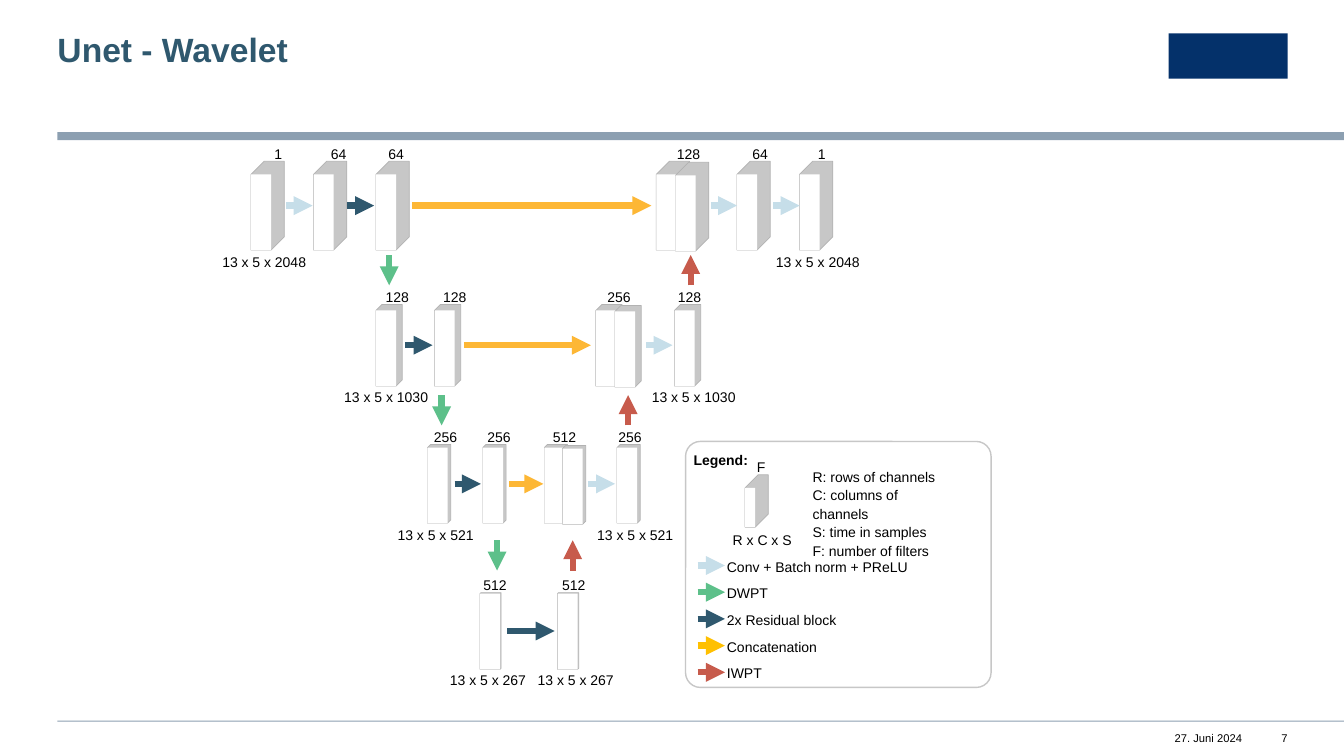
from lxml.etree import SubElement
from pptx import Presentation
from pptx.dml.color import RGBColor
from pptx.enum.shapes import MSO_CONNECTOR, MSO_SHAPE
from pptx.enum.text import MSO_ANCHOR, PP_ALIGN
from pptx.oxml.ns import qn
from pptx.util import Inches, Pt

NAVY = RGBColor(0x04, 0x31, 0x6A)
STEEL = RGBColor(0x8C, 0x9F, 0xB1)
PETROL = RGBColor(0x2F, 0x58, 0x6E)
ICE = RGBColor(0xC6, 0xDE, 0xE9)
GREEN = RGBColor(0x5D, 0xC0, 0x8A)
RED = RGBColor(0xC7, 0x5B, 0x4C)
ORANGE = RGBColor(0xFD, 0xB7, 0x35)
AMBER = RGBColor(0xFF, 0xC0, 0x00)
GREY = RGBColor(0xC7, 0xC7, 0xC7)
EDGE = RGBColor(0xB2, 0xB2, 0xB2)
WHITE = RGBColor(0xFF, 0xFF, 0xFF)
BLACK = RGBColor(0, 0, 0)

# Content: one entry per U-Net level, lengths in inches
# blocks: left edge, drop; filters and sizes: centre, text; steps: from, to, colour
LEVELS = [
    dict(top=1.73, depth=0.13, filter_top=1.43, size_top=2.5,
         blocks=[(2.49, 0), (3.11, 0), (3.73, 0), (6.51, 0), (6.7, 0.01), (7.31, 0), (7.93, 0)],
         filters=[(2.76, "1"), (3.36, "64"), (3.93, "64"), (6.83, "128"), (7.54, "64"), (8.15, "1")],
         sizes=[(2.62, "13 x 5 x 2048"), (8.11, "13 x 5 x 2048")],
         steps=[(2.84, 3.1, ICE), (3.44, 3.71, PETROL), (4.09, 6.46, ORANGE),
                (7.05, 7.31, ICE), (7.67, 7.93, ICE)]),
    dict(top=3.08, depth=0.06, filter_top=2.85, size_top=3.84,
         blocks=[(3.73, 0), (4.31, 0), (5.91, 0), (6.1, 0.01), (6.69, 0)],
         filters=[(3.94, "128"), (4.51, "128"), (6.14, "256"), (6.84, "128")],
         sizes=[(3.83, "13 x 5 x 1030"), (6.88, "13 x 5 x 1030")],
         steps=[(4.02, 4.29, PETROL), (4.6, 5.86, ORANGE), (6.41, 6.67, ICE)]),
    dict(top=4.44, depth=0.03, filter_top=4.23, size_top=5.21,
         blocks=[(4.24, 0), (4.79, 0), (5.4, 0), (5.58, 0.01), (6.12, 0)],
         filters=[(4.42, "256"), (4.95, "256"), (5.6, "512"), (6.25, "256")],
         sizes=[(4.32, "13 x 5 x 521"), (6.3, "13 x 5 x 521")],
         steps=[(4.51, 4.77, PETROL), (5.05, 5.39, ORANGE), (5.83, 6.1, ICE)]),
    dict(top=5.89, depth=0.01, filter_top=5.7, size_top=6.65,
         blocks=[(4.76, 0), (5.53, 0)],
         filters=[(4.91, "512"), (5.69, "512")],
         sizes=[(4.84, "13 x 5 x 267"), (5.71, "13 x 5 x 267")],
         steps=[(5.03, 5.5, PETROL)]),
]
# Between levels: upper end, x of the way down, x of the way up
TRANSITIONS = [(2.53, 3.86, 6.85), (3.92, 4.38, 6.23), (5.36, 4.93, 5.68)]
LEGEND = [("Conv + Batch norm + PReLU", ICE), ("DWPT", GREEN), ("2x Residual block", PETROL),
          ("Concatenation", AMBER), ("IWPT", RED)]
SYMBOLS = ["R: rows of channels", "C: columns of channels",
           "S: time in samples", "F: number of filters"]
BLOCK_W, BLOCK_H, TRANSITION_H = 0.2, 0.75, 0.3
MARGIN, WIDTH = 0.57, 13.33

deck = Presentation()
deck.slide_width, deck.slide_height = Inches(WIDTH), Inches(7.5)
slide = deck.slides.add_slide(deck.slide_layouts[5])
shapes = slide.shapes


def write(frame, lines, size=10, align=PP_ALIGN.LEFT, spacing=1.1, color=BLACK, bold=False):
    frame.margin_left = frame.margin_right = frame.margin_top = frame.margin_bottom = 0
    frame.vertical_anchor = MSO_ANCHOR.TOP
    for number, line in enumerate(lines):
        paragraph = frame.add_paragraph() if number else frame.paragraphs[0]
        paragraph.alignment, paragraph.line_spacing = align, spacing
        run = paragraph.add_run()
        run.text = line
        run.font.name, run.font.size, run.font.bold = "Arial", Pt(size), bold
        run.font.color.rgb = color


def label(left, top, width, lines, **style):
    frame = shapes.add_textbox(Inches(left), Inches(top), Inches(width), Inches(0.17)).text_frame
    frame.word_wrap = True
    write(frame, lines, **style)


def centred(middle, top, text, width=1.0):
    label(middle - width / 2, top, width, [text], align=PP_ALIGN.CENTER)


def panel(left, top, width, height, fill, kind=MSO_SHAPE.RECTANGLE):
    area = shapes.add_shape(kind, Inches(left), Inches(top), Inches(width), Inches(height))
    area.shadow.inherit = False
    area.fill.solid()
    area.fill.fore_color.rgb = fill
    area.line.fill.background()
    return area


def block(left, top, width, height, depth):
    right, bottom = left + width, top + height
    outline = [(left, top), (left + depth, top - depth), (right + depth, top - depth),
               (right + depth, bottom - depth), (right, bottom), (left, bottom)]
    points = [(Inches(x), Inches(y)) for x, y in outline]
    builder = shapes.build_freeform(*points[0])
    builder.add_line_segments(points[1:])
    body = builder.convert_to_shape()
    body.shadow.inherit = False
    body.fill.solid()
    body.fill.fore_color.rgb = GREY
    body.line.color.rgb, body.line.width = EDGE, Pt(0.5)
    panel(left, top, width, height, WHITE)


def arrow(x1, y1, x2, y2, color):
    link = shapes.add_connector(MSO_CONNECTOR.STRAIGHT, *map(Inches, (x1, y1, x2, y2)))
    link.line.color.rgb, link.line.width = color, Pt(4.5)
    SubElement(link.line._get_or_add_ln(), qn("a:tailEnd"), type="triangle")
    SubElement(link._element.spPr, qn("a:effectLst"))


# Title, rules and footer
title = shapes.title
title.left, title.top, title.width, title.height = map(Inches, (MARGIN, 0.33, 7.49, 0.36))
write(title.text_frame, ["Unet - Wavelet"], size=24, spacing=0.9, color=PETROL, bold=True)
for rule_top, rule_height in [(1.31, 0.08), (7.15, 0.01)]:
    panel(MARGIN, rule_top, WIDTH - MARGIN, rule_height, STEEL)
panel(11.59, 0.33, 1.18, 0.45, NAVY)
for footer_left, footer_width, footer in [(11.39, 0.93, "27. Juni 2024"), (12.56, 0.21, "7")]:
    label(footer_left, 7.26, footer_width, [footer], size=8, align=PP_ALIGN.RIGHT, spacing=1.0)

# Legend
frame = panel(6.8, 4.38, 3.03, 2.44, WHITE, MSO_SHAPE.ROUNDED_RECTANGLE)
frame.adjustments[0] = 0.06
frame.line.color.rgb, frame.line.width = GREY, Pt(1)
label(6.88, 4.46, 0.8, ["Legend:"], bold=True)
block(7.39, 4.84, 0.1, 0.39, 0.13)
centred(7.55, 4.53, "F")
centred(7.56, 5.26, "R x C x S")
label(8.06, 4.63, 1.4, SYMBOLS)
for row, (meaning, color) in enumerate(LEGEND):
    y = 5.61 + row * 0.265
    arrow(6.92, y, 7.19, y, color)
    label(7.21, y - 0.09, 2.59, [meaning])

# Network levels
for level in LEVELS:
    for left, drop in level["blocks"]:
        block(left, level["top"] + drop, BLOCK_W, BLOCK_H, level["depth"])
    middle = level["top"] + (BLOCK_H - level["depth"]) / 2
    for start, end, color in level["steps"]:
        arrow(start, middle, end, middle, color)
    for x, count in level["filters"]:
        centred(x, level["filter_top"], count)
    for x, size in level["sizes"]:
        centred(x, level["size_top"], size)

# Wavelet transitions between levels
for top, down_x, up_x in TRANSITIONS:
    arrow(down_x, top, down_x, top + TRANSITION_H, GREEN)
    arrow(up_x, top + TRANSITION_H, up_x, top, RED)

deck.save("out.pptx")
